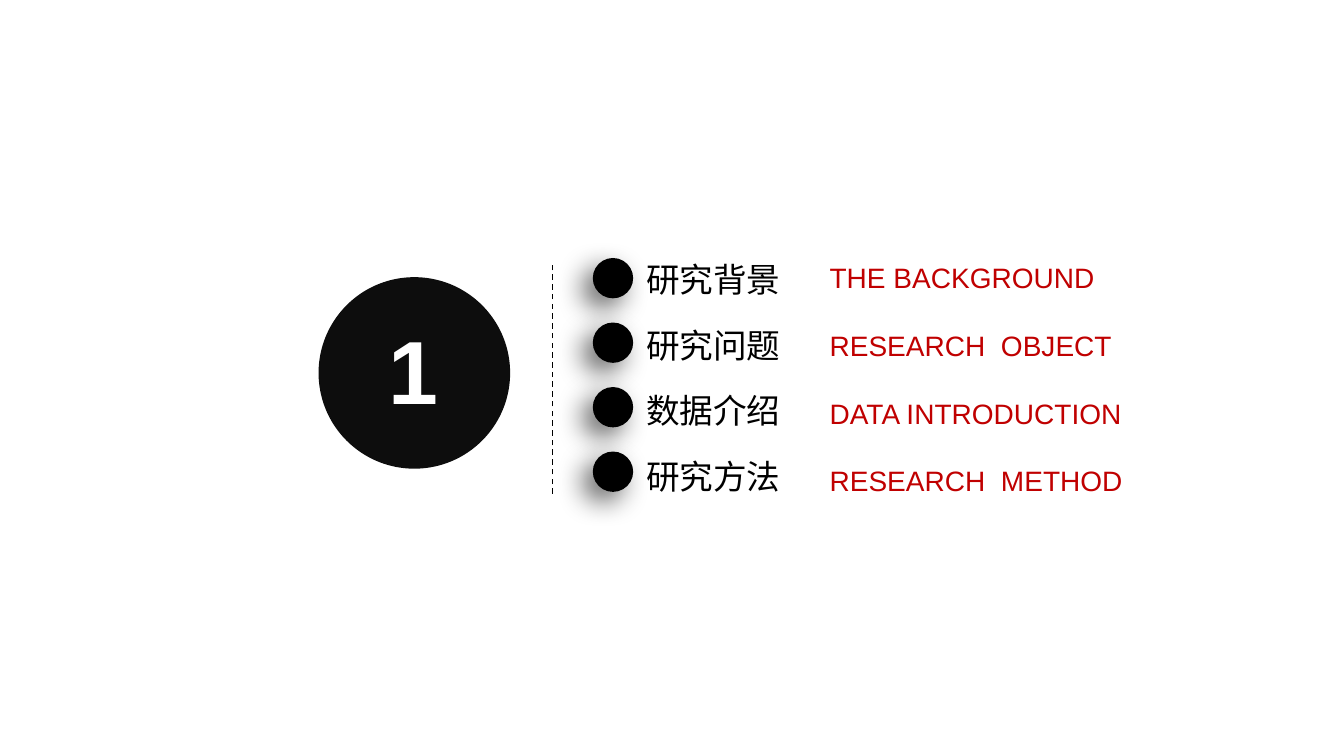
from lxml import etree
from pptx import Presentation
from pptx.dml.color import RGBColor
from pptx.enum import dml, shapes, text
from pptx.oxml import parse_xml
from pptx.oxml.ns import nsdecls, qn
from pptx.util import Inches, Pt

SHADOW = (
    f'<a:effectLst {nsdecls("a")}>'
    f'<a:outerShdw blurRad="{Pt(20)}" dist="{Pt(10)}" dir="8100000" algn="tr" rotWithShape="0">'
    '<a:srgbClr val="000000"><a:alpha val="60000"/></a:srgbClr>'
    '</a:outerShdw></a:effectLst>'
)


def add_disc(parent, left, top, size, color):
    sp = parent.add_shape(shapes.MSO_SHAPE.OVAL, Inches(left), Inches(top), Inches(size), Inches(size))
    sp.shadow.inherit = False
    sp.fill.solid()
    sp.fill.fore_color.rgb = RGBColor.from_string(color)
    sp.line.fill.background()
    return sp


def add_label(parent, box, words, font, size, color):
    """Add a one-line text box that grows with its text."""
    sp = parent.add_textbox(*map(Inches, box))
    tf = sp.text_frame
    tf.word_wrap = False
    tf.auto_size = text.MSO_AUTO_SIZE.SHAPE_TO_FIT_TEXT
    tf.text = words
    r = tf.paragraphs[0].runs[0]
    r.font.name = font
    r.font.size = Pt(size)
    r.font.color.rgb = RGBColor.from_string(color)
    ea = etree.SubElement(r.font._element, qn("a:ea"))
    ea.set("typeface", font)
    return sp


prs = Presentation()
prs.slide_width, prs.slide_height = Inches(13.33), Inches(7.5)
s = prs.slides.add_slide(prs.slide_layouts[6])

# Chapter number
badge = s.shapes.add_group_shape()
add_disc(badge.shapes, 3.16, 2.75, 1.9, "0D0D0D")
number = add_label(badge.shapes, (3.76, 3.07, 0.7, 1.18), "1", "Arial", 64, "FFFFFF")
number.fill.solid()
number.fill.fore_color.rgb = RGBColor.from_string("0D0D0D")
number.text_frame.paragraphs[0].runs[0].font.bold = True

# Dashed divider
divider = s.shapes.add_connector(
    shapes.MSO_CONNECTOR.STRAIGHT, Inches(5.48), Inches(4.9), Inches(5.48), Inches(2.59))
divider.line.color.rgb = RGBColor.from_string("000000")
divider.line.width = Pt(1)
divider.line.dash_style = dml.MSO_LINE.DASH
etree.SubElement(divider._element.spPr, qn("a:effectLst"))

# Sections: dot, Chinese name, English name and its box width
sections = [
    ("研究背景", "THE BACKGROUND", 2.86),
    ("研究问题", "RESEARCH  OBJECT", 3.03),
    ("数据介绍", "DATA INTRODUCTION", 3.13),
    ("研究方法", "RESEARCH  METHOD", 3.14),
]
for i, (chinese, english, width) in enumerate(sections):
    dot = add_disc(s.shapes, 5.88, 2.56 + 0.64 * i, 0.4, "000000")
    spPr = dot._element.spPr
    spPr.replace(spPr.find(qn("a:effectLst")), parse_xml(SHADOW))
    add_label(s.shapes, (6.31, 2.52 + 0.65 * i, 1.55, 0.5), chinese, "Noto Sans CJK SC", 24, "000000")
    add_label(s.shapes, (8.13, 2.54 + 0.67 * i, width, 0.44), english, "Arial", 20, "C00000")

prs.save("out.pptx")
